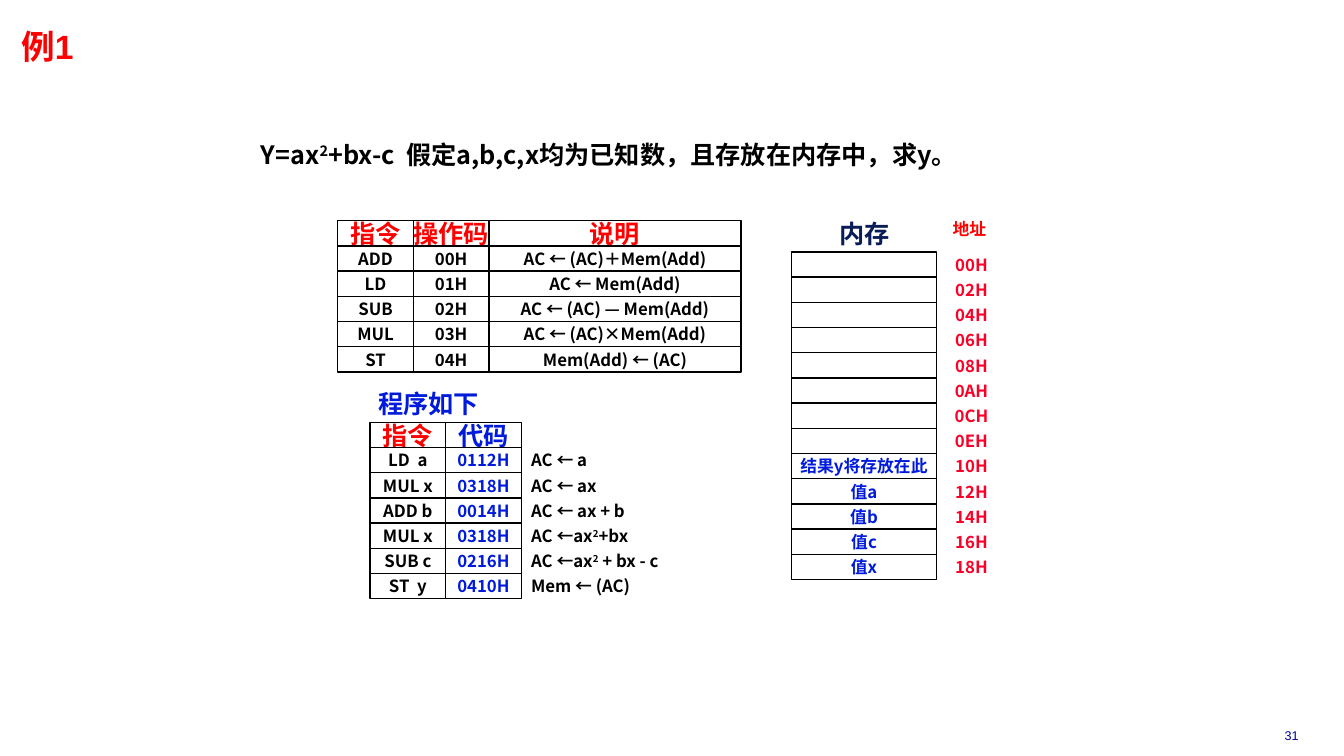
from dataclasses import dataclass

from lxml.etree import SubElement
from pptx import Presentation
from pptx.dml.color import RGBColor
from pptx.enum.shapes import MSO_SHAPE as Preset
from pptx.enum.text import MSO_ANCHOR as Anchor, PP_ALIGN as Align
from pptx.oxml.ns import qn
from pptx.util import Pt

EMU_PER_PX = 9144
ROW = 25


@dataclass(frozen=True)
class Theme:
    black: str = "000000"
    red: str = "FF0000"
    blue: str = "001ADC"
    navy: str = "081D58"
    address: str = "FC0128"
    page: str = "000099"
    title: int = 24
    heading: int = 18
    body: int = 12
    footer: int = 9
    latin: str = "Arial"
    chinese: str = "Noto Sans CJK SC"


THEME = Theme()

INSTRUCTIONS = [
    ("指令", "操作码", "说明"),
    ("ADD", "00H", "AC ← (AC)＋Mem(Add)"),
    ("LD", "01H", "AC ← Mem(Add)"),
    ("SUB", "02H", "AC ← (AC) — Mem(Add)"),
    ("MUL", "03H", "AC ← (AC)×Mem(Add)"),
    ("ST", "04H", "Mem(Add) ← (AC)"),
]
PROGRAM = [
    ("指令", "代码"),
    ("LD  a", "0112H"),
    ("MUL x", "0318H"),
    ("ADD b", "0014H"),
    ("MUL x", "0318H"),
    ("SUB c", "0216H"),
    ("ST  y", "0410H"),
]
EFFECTS = [
    ("AC ← a",),
    ("AC ← ax",),
    ("AC ← ax + b",),
    ("AC ←ax", "2", "+bx"),
    ("AC ←ax", "2", " + bx - c"),
    ("Mem ← (AC)",),
]
MEMORY = [""] * 8 + ["结果y将存放在此", "值a", "值b", "值c", "值x"]


def px(length):
    return length * EMU_PER_PX


def write(box, parts, size, color, align=Align.LEFT, font=THEME.chinese, bold=True):
    para = box.text_frame.paragraphs[0]
    para.alignment = align
    for index, part in enumerate(parts):
        span = para.add_run()
        span.text = part
        span.font.size = Pt(size)
        span.font.bold = bold
        span.font.name = font
        span.font.color.rgb = RGBColor.from_string(color)
        properties = span._r.get_or_add_rPr()
        SubElement(properties, qn("a:ea")).set("typeface", THEME.chinese)
        if index % 2:
            properties.set("baseline", "30000")
    return para


def add_label(shapes, place, parts, size, color, align=Align.LEFT,
              anchor=Anchor.TOP, left_inset=10, right_inset=0, top_inset=5, **style):
    box = shapes.add_textbox(*map(px, place))
    frame = box.text_frame
    frame.word_wrap = True
    frame.vertical_anchor = anchor
    frame.margin_left, frame.margin_right = px(left_inset), px(right_inset)
    frame.margin_top = px(top_inset)
    return write(box, parts, size, color, align, **style)


def add_cell(shapes, place, text, size, color):
    box = shapes.add_shape(Preset.RECTANGLE, *map(px, place))
    box.shadow.inherit = False
    box.fill.background()
    box.line.color.rgb = RGBColor.from_string(THEME.black)
    box.line.width = Pt(1)
    box.text_frame.word_wrap = False
    box.text_frame.vertical_anchor = Anchor.MIDDLE
    if text:
        write(box, [text], size, color, Align.CENTER)


def add_grid(shapes, left, top, widths, rows, header_colors, body_colors):
    for row, texts in enumerate(rows):
        colors = body_colors if row else header_colors
        size = THEME.body if row else THEME.heading
        for column, text in enumerate(texts):
            place = (left + sum(widths[:column]), top + row * ROW, widths[column], ROW)
            add_cell(shapes, place, text, size, colors[column])


def add_instruction_set(page):
    shapes = page.shapes.add_group_shape().shapes
    add_grid(shapes, 335, 219, (75, 75, 250), INSTRUCTIONS,
             [THEME.red] * 3, [THEME.black] * 3)


def add_program(page):
    shapes = page.shapes.add_group_shape().shapes
    add_label(shapes, (360, 380, 181, 40), ["程序如下"], THEME.heading, THEME.blue,
              left_inset=15)
    add_grid(shapes, 367, 419, (75, 75), PROGRAM,
             (THEME.red, THEME.blue), (THEME.black, THEME.blue))
    for row, parts in enumerate(EFFECTS, start=1):
        add_label(shapes, (517, 419 + row * ROW, 144, ROW), parts, THEME.body,
                  THEME.black, anchor=Anchor.MIDDLE)


def add_memory(page):
    shapes = page.shapes.add_group_shape().shapes
    add_label(shapes, (823, 212, 77, 40), ["内存"], THEME.heading, THEME.navy)
    add_label(shapes, (935, 212, 77, 30), ["地址"], THEME.body, THEME.red)
    for row, content in enumerate(MEMORY):
        top = 250 + row * ROW
        add_cell(shapes, (785, top, 144, ROW), content, THEME.body, THEME.blue)
        add_label(shapes, (929, top, 69, ROW), [f"{2 * row:02X}H"], THEME.body,
                  THEME.address, Align.CENTER, Anchor.MIDDLE, right_inset=10)


def main():
    deck = Presentation()
    deck.slide_width, deck.slide_height = px(1333), px(750)
    page = deck.slides.add_slide(deck.slide_layouts[6])
    title = add_label(page.shapes, (0, 28, 178, 108), ["例1"], THEME.title, THEME.red,
                      left_inset=21, top_inset=3, font=THEME.latin)
    title.line_spacing = 0.87
    add_label(page.shapes, (249, 133, 942, 40),
              ["Y=ax", "2", "+bx-c  假定a,b,c,x均为已知数，且存放在内存中，求y。"],
              THEME.heading, THEME.black)
    add_memory(page)
    add_instruction_set(page)
    add_program(page)
    add_label(page.shapes, (1234, 717, 94, 25), ["31"], THEME.footer, THEME.page,
              Align.CENTER, right_inset=10, font=THEME.latin, bold=False)
    deck.save("out.pptx")


if __name__ == "__main__":
    main()
